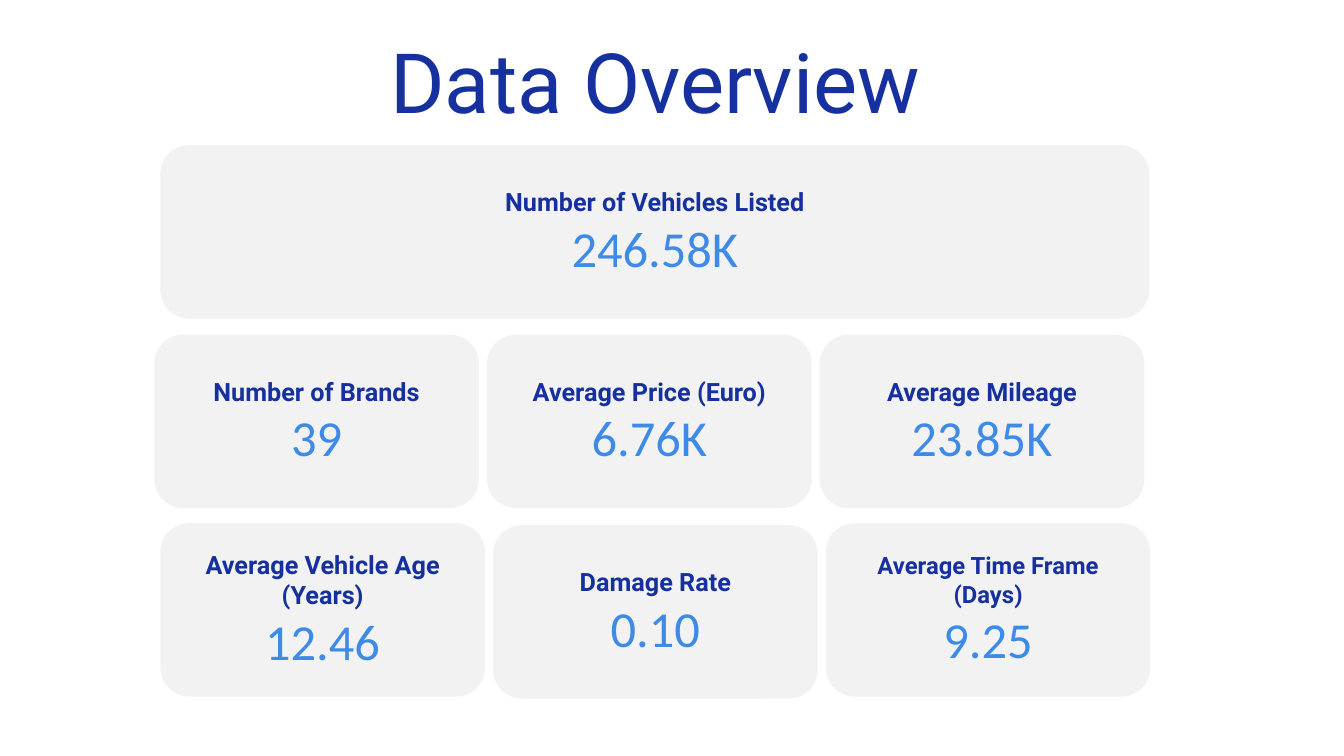
from pptx import Presentation
from pptx import util as u
from pptx.dml.color import RGBColor
from pptx.enum import shapes, text

NAVY = RGBColor(0x16, 0x30, 0x9F)
BLUE = RGBColor(0x3D, 0x8A, 0xE7)
GREY = RGBColor(0xF2, 0xF2, 0xF2)
PX = u.Inches(1) // 100
CARD_W, CARD_H, PITCH = 322, 172, 330


def write(p, content, size, color, font="Roboto", bold=False, spacing=None):
    p.alignment = text.PP_ALIGN.CENTER
    p.line_spacing = spacing
    r = p.add_run()
    r.text = content
    r.font.size = u.Pt(size)
    r.font.name = font
    r.font.bold = bold
    r.font.color.rgb = color


class Deck:
    def __init__(self, width, height):
        self.prs = Presentation()
        self.prs.slide_width = width * PX
        self.prs.slide_height = height * PX
        self.s = self.prs.slides.add_slide(self.prs.slide_layouts[5])

    def title(self, content, x, y, w, h):
        sp = self.s.shapes.title
        sp.left, sp.top, sp.width, sp.height = (v * PX for v in (x, y, w, h))
        tf = sp.text_frame
        tf.auto_size = text.MSO_AUTO_SIZE.NONE
        tf.vertical_anchor = text.MSO_ANCHOR.MIDDLE
        write(tf.paragraphs[0], content, 59.4, NAVY, spacing=0.9)

    def card(self, label, value, x, y, w=CARD_W, label_size=18):
        sp = self.s.shapes.add_shape(
            shapes.MSO_SHAPE.ROUNDED_RECTANGLE,
            x * PX, y * PX, w * PX, CARD_H * PX)
        sp.shadow.inherit = False
        sp.fill.solid()
        sp.fill.fore_color.rgb = GREY
        sp.line.fill.background()
        tf = sp.text_frame
        tf.word_wrap = True
        tf.vertical_anchor = text.MSO_ANCHOR.MIDDLE
        write(tf.paragraphs[0], label, label_size, NAVY, bold=True)
        write(tf.add_paragraph(), value, 36, BLUE, font="Calibri")


def main():
    deck = Deck(1333, 750)
    deck.title("Data Overview", 75, 35, 1150, 102)
    deck.card("Number of Vehicles Listed", "246.58K", 159, 144, w=981)

    middle_row = [
        ("Number of Brands", "39"),
        ("Average Price (Euro)", "6.76K"),
        ("Average Mileage", "23.85K"),
    ]
    for i, (label, value) in enumerate(middle_row):
        deck.card(label, value, 153 + i * PITCH, 332)

    bottom_row = [
        ("Average Vehicle Age (Years)", "12.46", 519, 18),
        ("Damage Rate", "0.10", 521, 18),
        ("Average Time Frame (Days)", "9.25", 519, 17),
    ]
    for i, (label, value, y, size) in enumerate(bottom_row):
        deck.card(label, value, 159 + i * PITCH, y, label_size=size)

    deck.prs.save("out.pptx")


if __name__ == "__main__":
    main()
